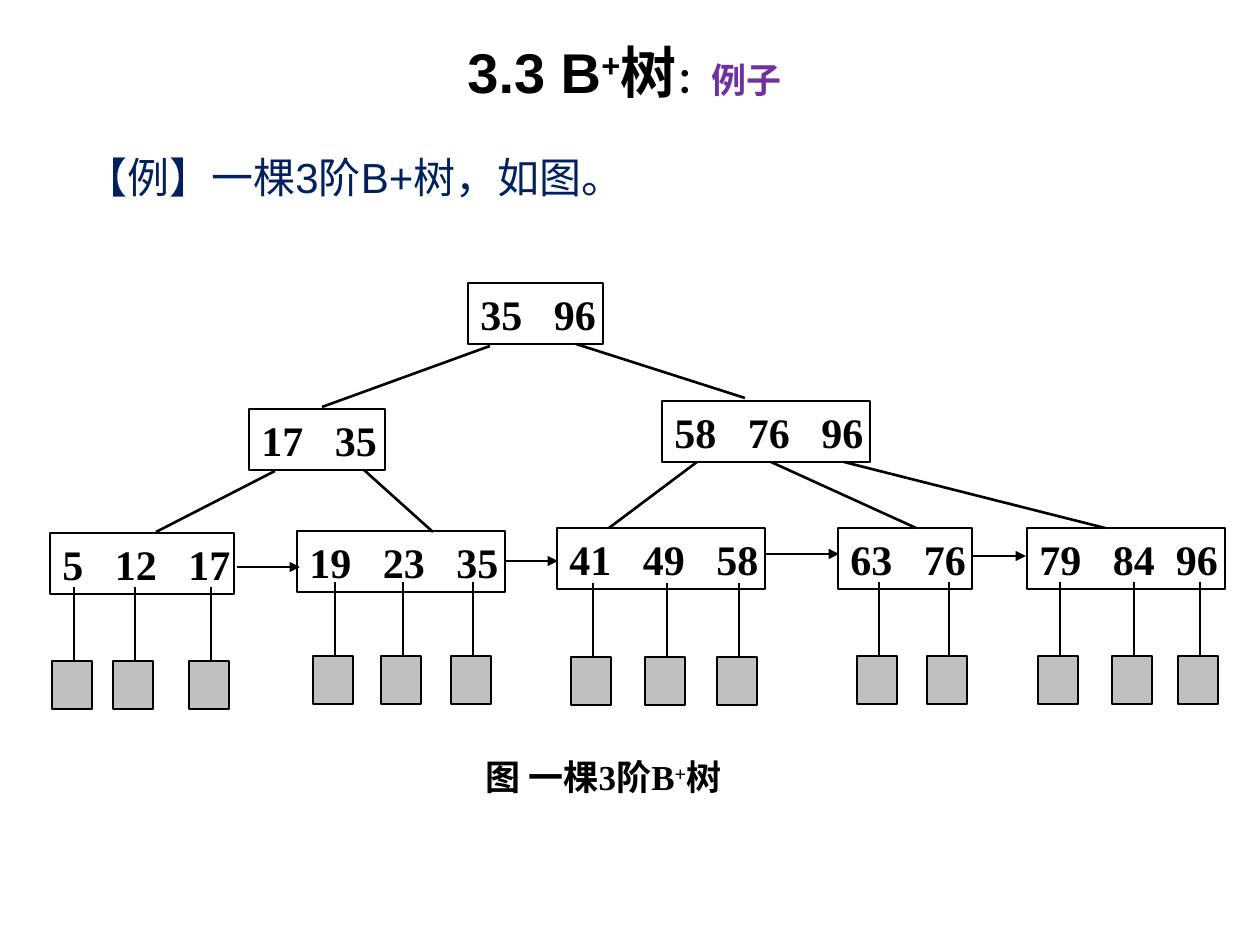
import pptx
import pptx.dml.color
import pptx.enum.shapes
import pptx.enum.text
import pptx.oxml.ns
import pptx.util
from lxml import etree

COLORS = {"ink": "000000", "accent": "7030A0", "navy": "002060", "record": "C0C0C0"}
SANS, SERIF, CJK = "Arial", "Times New Roman", "Noto Sans CJK SC"
KEY_SIZE = 24
KEY_GAP = 18


def px(length):
    return pptx.util.Emu(round(length * 914400 / 126))


def rgb(name):
    return pptx.dml.color.RGBColor.from_string(COLORS[name])


def add_xml(parent, tag, **attributes):
    return etree.SubElement(parent, pptx.oxml.ns.qn(tag), attributes)


def write(paragraph, text, size=20, font=SERIF, color="ink", bold=True, raised=0):
    run = paragraph.add_run()
    run.text = text
    run.font.size = pptx.util.Pt(size)
    run.font.name = font
    run.font.bold = bold
    run.font.color.rgb = rgb(color)
    properties = run._r.get_or_add_rPr()
    add_xml(properties, "a:ea", typeface=CJK)
    if raised:
        properties.set("baseline", str(raised * 1000))


class TreeSlide:
    thin = pptx.util.Pt(0.75)
    thick = pptx.util.Pt(1.5)
    node_height = 61
    record_width, record_height = 40, 48
    stem_length, record_drop = 73, 74

    def __init__(self, slide):
        self.shapes = slide.shapes

    def text_box(self, left, top, width, height, centred=True):
        frame = self.shapes.add_textbox(px(left), px(top), px(width), px(height)).text_frame
        frame.word_wrap = True
        paragraph = frame.paragraphs[0]
        if centred:
            frame.vertical_anchor = pptx.enum.text.MSO_ANCHOR.MIDDLE
            paragraph.alignment = pptx.enum.text.PP_ALIGN.CENTER
        return paragraph

    def box(self, left, top, width, height, fill=None):
        rectangle = self.shapes.add_shape(
            pptx.enum.shapes.MSO_SHAPE.RECTANGLE, px(left), px(top), px(width), px(height))
        rectangle.shadow.inherit = False
        if fill:
            rectangle.fill.solid()
            rectangle.fill.fore_color.rgb = rgb(fill)
        else:
            rectangle.fill.background()
        rectangle.line.color.rgb = rgb("ink")
        rectangle.line.width = self.thin
        return rectangle

    def node(self, keys, left, top, width, last_gap=KEY_GAP):
        frame = self.box(left, top, width, self.node_height).text_frame
        frame.word_wrap = True
        frame.margin_right = 0
        frame.vertical_anchor = pptx.enum.text.MSO_ANCHOR.MIDDLE
        paragraph = frame.paragraphs[0]
        paragraph.alignment = pptx.enum.text.PP_ALIGN.LEFT
        tabs = add_xml(paragraph._p.get_or_add_pPr(), "a:tabLst")
        gaps = [KEY_GAP] * (len(keys) - 2) + [last_gap]
        stop = 0
        for key, gap in zip(keys, gaps):
            stop += len(key) * KEY_SIZE / 2 + gap
            add_xml(tabs, "a:tab", pos=str(pptx.util.Pt(stop)), algn="l")
        write(paragraph, "\t".join(keys), size=KEY_SIZE)

    def edge(self, x1, y1, x2, y2, arrow=False):
        link = self.shapes.add_connector(
            pptx.enum.shapes.MSO_CONNECTOR.STRAIGHT, px(x1), px(y1), px(x2), px(y2))
        link.line.color.rgb = rgb("ink")
        link.line.width = self.thick
        if arrow:
            add_xml(link.line._get_or_add_ln(), "a:tailEnd", type="triangle")
        add_xml(link._element.spPr, "a:effectLst")

    def record(self, x, top):
        self.edge(x, top, x, top + self.stem_length)
        self.box(x - 22, top + self.record_drop, self.record_width, self.record_height, "record")


INNER_NODES = [
    (("35", "96"), 468, 283, 135),
    (("17", "35"), 249, 409, 136),
    (("58", "76", "96"), 662, 401, 208),
]
LEAVES = [
    (("5", "12", "17"), 50, 533, 184, KEY_GAP, 587, (74, 135, 211)),
    (("19", "23", "35"), 297, 531, 208, KEY_GAP, 582, (335, 403, 473)),
    (("41", "49", "58"), 557, 528, 208, KEY_GAP, 583, (593, 667, 739)),
    (("63", "76"), 838, 528, 134, KEY_GAP, 582, (879, 949)),
    (("79", "84", "96"), 1027, 528, 198, 12, 582, (1060, 1134, 1200)),
]
BRANCHES = [
    (490, 346, 322, 407), (576, 344, 745, 398),
    (275, 471, 156, 532), (364, 470, 433, 532),
    (697, 462, 609, 528), (771, 462, 916, 528), (844, 462, 1105, 528),
]
LEAF_CHAIN = [(237, 300, 567), (505, 558, 561), (765, 839, 554), (973, 1026, 556)]


def main():
    deck = pptx.Presentation()
    deck.slide_width, deck.slide_height = px(1260), px(945)
    tree = TreeSlide(deck.slides.add_slide(deck.slide_layouts[6]))

    title = tree.text_box(136, 38, 977, 67)
    write(title, "3.3 B", size=32, font=SANS)
    write(title, "+", size=32, font=SANS, raised=30)
    write(title, "树", size=32, font=SANS)
    write(title, "：", font=SANS)
    write(title, "例子", font=SANS, color="accent")

    example = tree.text_box(73, 135, 1129, 747, centred=False)
    example.line_spacing = 1.2
    write(example, "【例】一棵3阶B+树，如图。", size=24, font=SANS, color="navy", bold=False)

    caption = tree.text_box(416, 747, 375, 59)
    write(caption, "图 ", font=CJK)
    write(caption, "一棵3阶B")
    write(caption, "+", raised=26)
    write(caption, "树")

    for keys, left, top, width in INNER_NODES:
        tree.node(keys, left, top, width)
    for keys, left, top, width, last_gap, stem_top, stems in LEAVES:
        tree.node(keys, left, top, width, last_gap)
        for stem in stems:
            tree.record(stem, stem_top)
    for branch in BRANCHES:
        tree.edge(*branch)
    for start, end, y in LEAF_CHAIN:
        tree.edge(start, y, end, y, arrow=True)

    deck.save("out.pptx")


if __name__ == "__main__":
    main()
